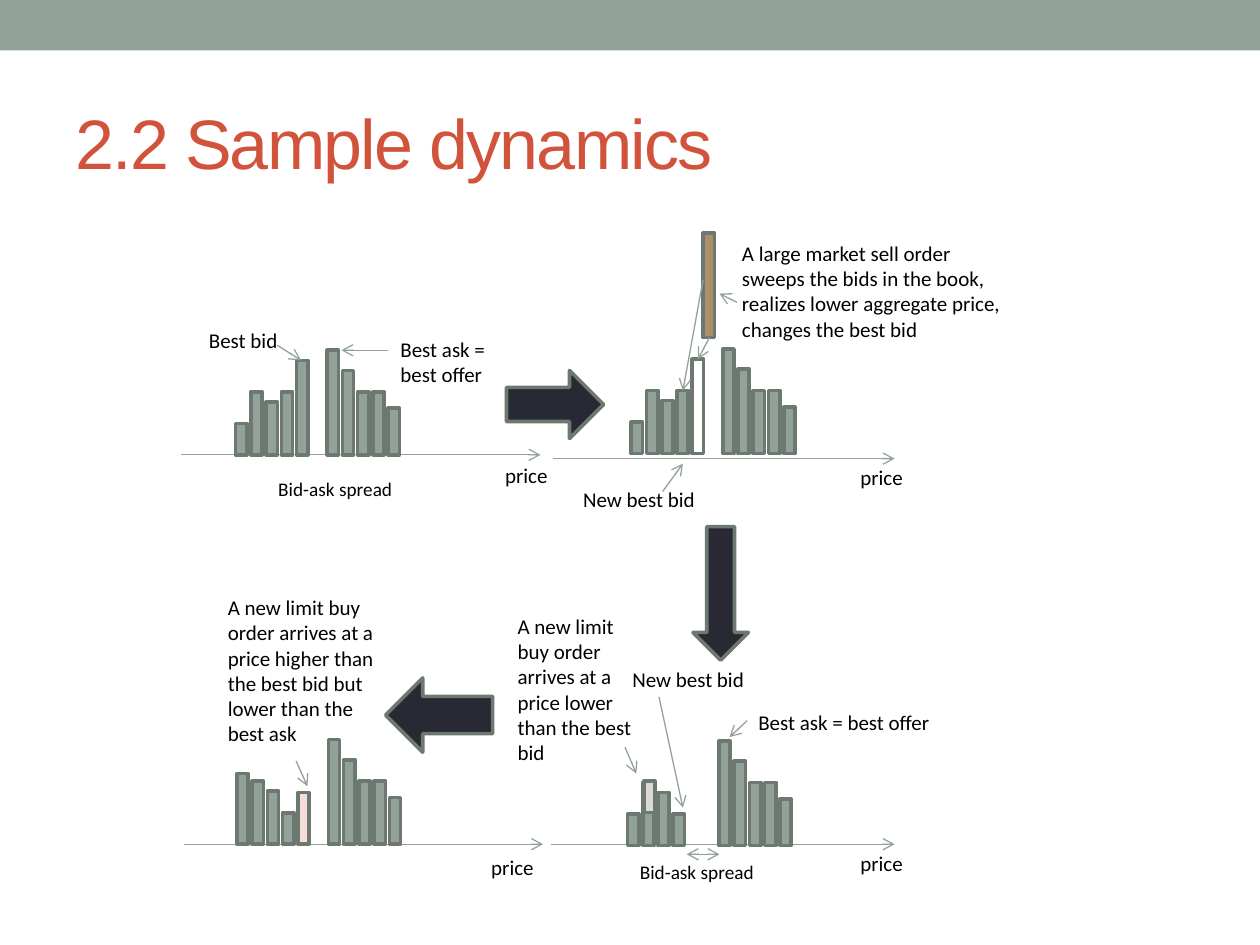
from lxml.etree import SubElement
from pptx import Presentation
from pptx.dml.color import RGBColor
from pptx.enum.shapes import MSO_CONNECTOR, MSO_SHAPE
from pptx.enum.text import MSO_ANCHOR
from pptx.oxml.ns import qn
from pptx.util import Inches, Pt

SAGE = RGBColor(0x93, 0xA2, 0x99)
DARK_SAGE = RGBColor(0x6D, 0x78, 0x71)
RUST = RGBColor(0xD2, 0x53, 0x3C)
INK = RGBColor(0x29, 0x29, 0x34)
TAN = RGBColor(0xAD, 0x8F, 0x67)
PINK = RGBColor(0xF6, 0xDD, 0xD8)
GREY = RGBColor(0xD9, 0xD9, 0xD9)
WHITE = RGBColor(0xFF, 0xFF, 0xFF)
BLACK = RGBColor(0, 0, 0)

WIDTH, HEIGHT = Inches(10), Inches(7.5)
COLUMN, ROW = WIDTH / 100, HEIGHT / 75
BAR_WIDTH = 0.9
BAR_PITCH = 1.21

ASKS = [8.3, 6.7, 5, 5, 3.7]
BOOKS = [
    (18.7, 36.1, [2.5, 5, 4.2, 5, 7.5], {}),
    (50.1, 36, [2.5, 5, 4.2, 5, 7.5], {4: WHITE}),
    (49.8, 67.1, [2.5, 5, 4.2, 2.5, 0], {}),
    (18.8, 67, [5.6, 5, 4.2, 2.5, 4.1], {4: PINK}),
]
AXES = [
    (14.4, 36.1, 42.9, 36.1),
    (43.9, 36.4, 71, 36.4),
    (43.7, 67, 71, 67),
    (14.6, 67, 43.1, 67),
]
POINTERS = [
    (30.8, 27.8, 27.1, 27.8),
    (22, 27.4, 23.9, 28.6),
    (58.5, 24, 57.1, 23.3),
    (56.3, 26.8, 55.4, 28.5),
    (55.8, 22.2, 54.2, 31),
    (52.6, 39, 54.2, 36.8),
    (59.3, 57.2, 57.9, 58.5),
    (52.3, 55.3, 54.2, 64.1),
    (49.6, 59.3, 50.5, 61.4),
    (23.5, 60.4, 24.4, 62.4),
]
STEPS = [
    (MSO_SHAPE.RIGHT_ARROW, 40.2, 29.4, 7.7, 5.4),
    (MSO_SHAPE.DOWN_ARROW, 55, 41.8, 4.4, 10.6),
    (MSO_SHAPE.LEFT_ARROW, 30.6, 53.8, 8.5, 5.9),
]
LABELS = [
    ("price", 39.1, 36.2, 5.5, 3),
    ("price", 67.3, 36.4, 6, 3),
    ("price", 67.3, 67, 6, 3),
    ("price", 38, 67.3, 5.9, 3),
    ("Best ask = best offer", 30.8, 26.2, 9.3, 4.9),
    ("Best bid", 15.6, 25.5, 8.8, 3),
    ("New best bid", 45.3, 38.1, 11.7, 3),
    ("Best ask = best offer", 59.2, 55.8, 16.1, 3),
    ("New best bid", 49.2, 52.4, 11.3, 3),
    ("A new limit buy order arrives at a price lower than the best bid",
     40.1, 48.2, 11, 16.2),
    ("A new limit buy order arrives at a price higher than the best bid "
     "but lower than the best ask", 17.1, 46.7, 13.6, 21.1),
]
SPREADS = [(21.1, 37.4, 12.6, 2.9), (49.8, 67.8, 13, 2.9)]
SELL_ORDER = [
    "A large market sell order",
    "sweeps the bids in the book,",
    "realizes lower aggregate price,",
    "changes the best bid",
]


def place(left, top, width, height):
    """Turn grid columns and rows into slide lengths."""
    return [round(length) for length in
            (left * COLUMN, top * ROW, width * COLUMN, height * ROW)]


def add_block(page, kind, cell, fill, outline=DARK_SAGE):
    """Add a filled preset shape, outlined unless outline is None."""
    block = page.shapes.add_shape(kind, *place(*cell))
    block.shadow.inherit = False
    block.fill.solid()
    block.fill.fore_color.rgb = fill
    if outline is None:
        block.line.fill.background()
    else:
        block.line.color.rgb = outline
        block.line.width = Pt(2.08)


def add_book(page, left, base, bids, special):
    """Draw bids, a one-slot gap and asks as bars standing on a base row."""
    for slot, height in enumerate(bids + [0] + ASKS):
        if height:
            cell = (left + slot * BAR_PITCH, base - height, BAR_WIDTH, height)
            add_block(page, MSO_SHAPE.RECTANGLE, cell, special.get(slot, SAGE))


def add_arrow(page, ends, both=False):
    """Add a thin line with an open arrowhead at its end, or at both ends."""
    arrow = page.shapes.add_connector(MSO_CONNECTOR.STRAIGHT, *place(*ends))
    arrow.line.color.rgb = SAGE
    arrow.line.width = Pt(0.75)
    line = arrow.line._get_or_add_ln()
    for tag in ("a:headEnd", "a:tailEnd") if both else ("a:tailEnd",):
        SubElement(line, qn(tag), type="arrow")
    SubElement(arrow._element.spPr, qn("a:effectLst"))


def add_text(page, lines, cell, size=12, font="Calibri", color=BLACK, wrap=True):
    """Add a text box with one paragraph per line and return it."""
    box = page.shapes.add_textbox(*place(*cell))
    frame = box.text_frame
    frame.word_wrap = wrap
    frame.text = "\n".join(lines)
    for para in frame.paragraphs:
        para.font.size = Pt(size)
        para.font.name = font
        para.font.color.rgb = color
    return box


def add_heading(page):
    """Add the top band and the tightly spaced title."""
    add_block(page, MSO_SHAPE.RECTANGLE, (0, 0, 100, 4), SAGE, None)
    title = add_text(page, ["2.2 Sample dynamics"], (5, 5.8, 90, 10.8),
                     40, "Arial", RUST)
    title.text_frame.vertical_anchor = MSO_ANCHOR.MIDDLE
    span = title.text_frame.paragraphs[0].runs[0]
    span._r.get_or_add_rPr().set("spc", "-100")


def main():
    """Build the slide and save it."""
    deck = Presentation()
    deck.slide_width, deck.slide_height = WIDTH, HEIGHT
    page = deck.slides.add_slide(deck.slide_layouts[6])
    add_heading(page)
    for axis in AXES:
        add_arrow(page, axis)
    for book in BOOKS:
        add_book(page, *book)
    add_block(page, MSO_SHAPE.RECTANGLE, (55.8, 18.5, BAR_WIDTH, 8.3), TAN)
    add_block(page, MSO_SHAPE.RECTANGLE, (51.1, 62, BAR_WIDTH, 2.5), GREY)
    for pointer in POINTERS:
        add_arrow(page, pointer)
    add_arrow(page, (54.5, 67.8, 57.1, 67.8), both=True)
    for kind, *cell in STEPS:
        add_block(page, kind, cell, INK)
    for label, *cell in LABELS:
        add_text(page, [label], cell)
    for cell in SPREADS:
        add_text(page, ["Bid-ask spread"], cell, 11)
    add_text(page, SELL_ORDER, (57.9, 18.6, 22.5, 15.4), wrap=False)
    deck.save("out.pptx")


if __name__ == "__main__":
    main()
